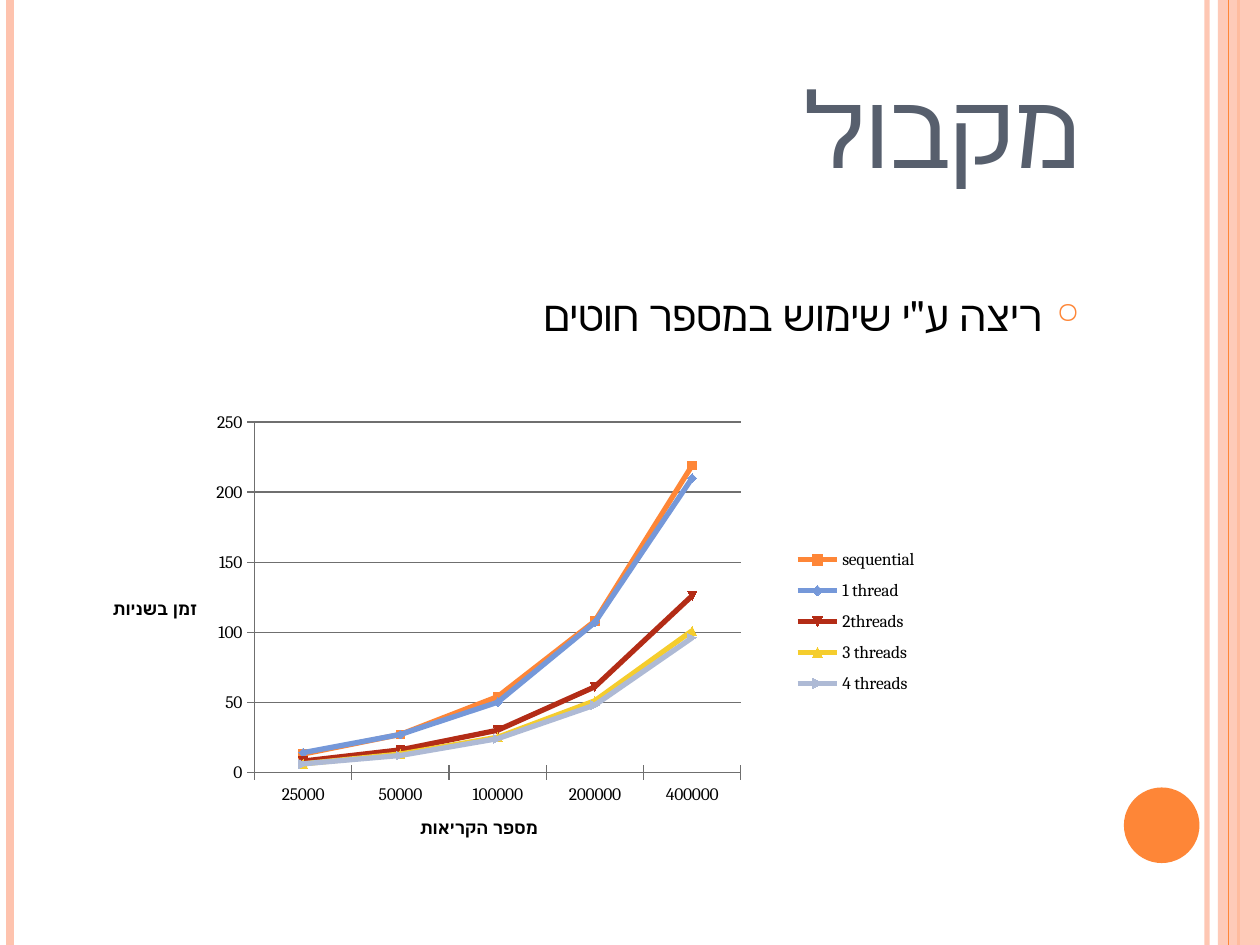
from lxml import etree
from pptx import Presentation
from pptx.chart.data import CategoryChartData
from pptx.dml.color import RGBColor
from pptx.enum.chart import XL_CHART_TYPE, XL_LEGEND_POSITION, XL_TICK_MARK
from pptx.enum.shapes import MSO_CONNECTOR, MSO_SHAPE
from pptx.enum.text import MSO_ANCHOR, PP_ALIGN
from pptx.oxml import parse_xml
from pptx.oxml.ns import nsdecls, qn
from pptx.util import Pt

WIDE, HIGH = 720, 540
FONT = "Cambria"
COLORS = {"peach": "FEC3AE", "orange": "FE8637", "slate": "575F6D",
          "black": "000000", "grid": "6F6F6F"}
CATS = ["25000", "50000", "100000", "200000", "400000"]
SERIES = [
    ("sequential", "FE8637", (13, 27, 54, 108, 219)),
    ("1 thread", "7598D9", (14, 27, 50, 107, 210)),
    ("2threads", "B32C16", (8, 16, 30, 61, 126)),
    ("3 threads", "F5CD2D", (6, 13, 25, 51, 101)),
    ("4 threads", "AEBAD5", (6, 12, 24, 48, 96)),
]


def rgb(name):
    """Return the colour of a given name."""
    return RGBColor.from_string(COLORS[name])


def style(item, **form):
    """Set each format value on the item."""
    for key, val in form.items():
        setattr(item, key, val)


def fade(fill, alpha):
    """Make a solid fill partly clear, alpha in percent."""
    tone = fill._xPr.find(".//" + qn("a:srgbClr"))
    etree.SubElement(tone, qn("a:alpha"), val=str(alpha * 1000))


def stripe(slide, x, width, color, alpha=100):
    """Draw a line down the full height of the slide."""
    line = slide.shapes.add_connector(
        MSO_CONNECTOR.STRAIGHT, Pt(x), Pt(0), Pt(x), Pt(HIGH))
    line.line.width = Pt(width)
    line.line.color.rgb = rgb(color)
    if alpha < 100:
        fade(line.line.fill, alpha)
    etree.SubElement(line._element.spPr, qn("a:effectLst"))


def solid(slide, kind, box, color, alpha=100):
    """Draw a filled shape without outline."""
    shape = slide.shapes.add_shape(kind, *map(Pt, box))
    shape.shadow.inherit = False
    shape.fill.solid()
    shape.fill.fore_color.rgb = rgb(color)
    shape.line.fill.background()
    if alpha < 100:
        fade(shape.fill, alpha)


def frame(slide):
    """Draw the bands at both edges and the disc."""
    stripe(slide, 689.76, 3, "peach", 93)
    stripe(slide, 5.76, 4.5, "peach")
    stripe(slide, 707.76, 1.5, "orange")
    solid(slide, MSO_SHAPE.RECTANGLE, (696, 0, 24, HIGH), "peach", 87)
    stripe(slide, 702, 0.75, "orange")
    solid(slide, MSO_SHAPE.OVAL, (642.24, 450, 43.2, 43.2), "orange")


def words(slide, box, text, size, color, anchor):
    """Write one right-to-left paragraph and return it."""
    area = slide.shapes.add_textbox(*map(Pt, box)).text_frame
    style(area, word_wrap=True, vertical_anchor=anchor)
    para = area.paragraphs[0]
    para.alignment = PP_ALIGN.RIGHT
    para._p.get_or_add_pPr().set("rtl", "1")
    run = para.add_run()
    run.text = text
    style(run.font, name=FONT, size=Pt(size))
    run.font.color.rgb = rgb(color)
    return para


def bullet(para, indent):
    """Give the paragraph a hanging ring bullet."""
    props = para._p.get_or_add_pPr()
    step = int(Pt(indent))
    props.set("marR", str(step))
    props.set("marL", str(step))
    props.set("indent", str(-step))
    tone = etree.SubElement(props, qn("a:buClr"))
    etree.SubElement(tone, qn("a:srgbClr"), val=COLORS["orange"])
    etree.SubElement(props, qn("a:buSzPct"), val="70000")
    etree.SubElement(props, qn("a:buChar"), char="○")


def layout(node, before, inner=False, **spots):
    """Put a manual layout into a chart part, ahead of the named tags."""
    for old in node.findall(qn("c:layout")):
        node.remove(old)
    target = '<c:layoutTarget val="inner"/>' if inner else ""
    modes = "".join(f'<c:{key}Mode val="edge"/>' for key in "xy")
    vals = "".join(f'<c:{key} val="{val}"/>' for key, val in spots.items())
    part = parse_xml(f'<c:layout {nsdecls("c")}><c:manualLayout>{target}'
                     f'{modes}{vals}</c:manualLayout></c:layout>')
    mark = next((kid for kid in node if kid.tag in map(qn, before)), None)
    if mark is None:
        node.append(part)
    else:
        mark.addprevious(part)


def axis(part, title, x, y):
    """Format one axis and place its level title."""
    style(part, has_title=True, major_tick_mark=XL_TICK_MARK.CROSS,
          minor_tick_mark=XL_TICK_MARK.NONE)
    part.format.line.color.rgb = rgb("grid")
    area = part.axis_title.text_frame
    area.text = title
    area._txBody.bodyPr.set("rot", "0")
    style(area.paragraphs[0].runs[0].font, name=FONT, size=Pt(10), bold=True)
    layout(part.axis_title._element, ["c:overlay"], x=x, y=y)


def graph(slide, box):
    """Draw the line chart of run times in the box."""
    data = CategoryChartData()
    data.categories = CATS
    for name, _, vals in SERIES:
        data.add_series(name, vals)
    chart = slide.shapes.add_chart(
        XL_CHART_TYPE.LINE_MARKERS, *map(Pt, box), data).chart
    style(chart, has_title=False, has_legend=True)
    style(chart.font, name=FONT, size=Pt(10))
    chart.font.color.rgb = rgb("black")
    plot = chart.plots[0]
    plot.vary_by_categories = False
    for line, (_, color, _) in zip(plot.series, SERIES):
        line.smooth = False
        line.format.line.width = Pt(3)
        line.format.line.color.rgb = RGBColor.from_string(color)
    axis(chart.category_axis, "מספר הקריאות", 0.39, 0.89)
    axis(chart.value_axis, "זמן בשניות", 0.03, 0.44)
    style(chart.value_axis, has_major_gridlines=True, minimum_scale=0,
          maximum_scale=250, major_unit=50)
    chart.value_axis.major_gridlines.format.line.color.rgb = rgb("grid")
    style(chart.legend, position=XL_LEGEND_POSITION.RIGHT,
          include_in_layout=False)
    layout(chart.legend._element, ["c:overlay"], x=0.82, y=0.32, w=0.17, h=0.34)
    layout(plot._element.getparent(), ["c:lineChart"], inner=True,
           x=0.2, y=0.08, w=0.57, h=0.72)


def build():
    """Build and save the slide."""
    deck = Presentation()
    style(deck, slide_width=Pt(WIDE), slide_height=Pt(HIGH))
    slide = deck.slides.add_slide(deck.slide_layouts[6])
    frame(slide)
    words(slide, (36, 21.6, 588, 90), "מקבול", 60, "slate", MSO_ANCHOR.BOTTOM)
    point = words(slide, (36, 162, 588, 348), 'ריצה ע"י שימוש במספר חוטים',
                  24, "black", MSO_ANCHOR.TOP)
    bullet(point, 21.6)
    graph(slide, (48, 219, 487.5, 278))
    deck.save("out.pptx")


build()
